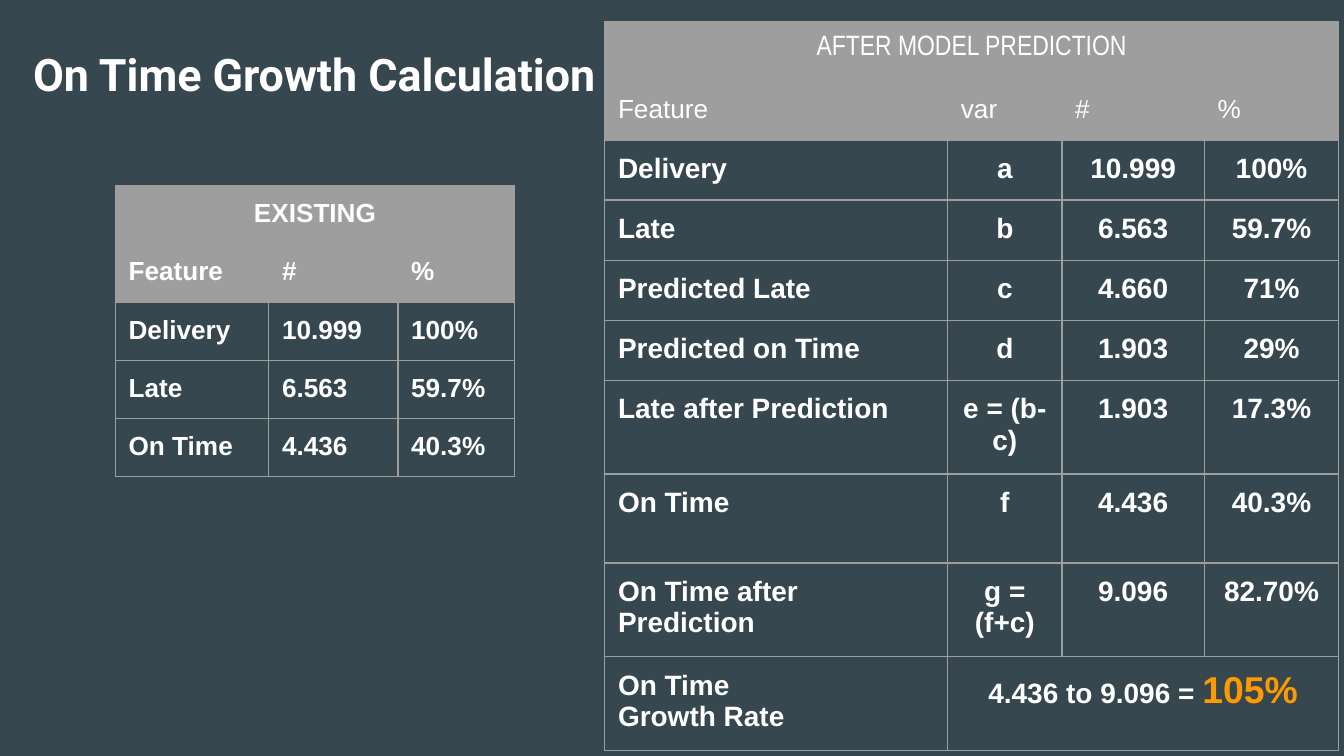
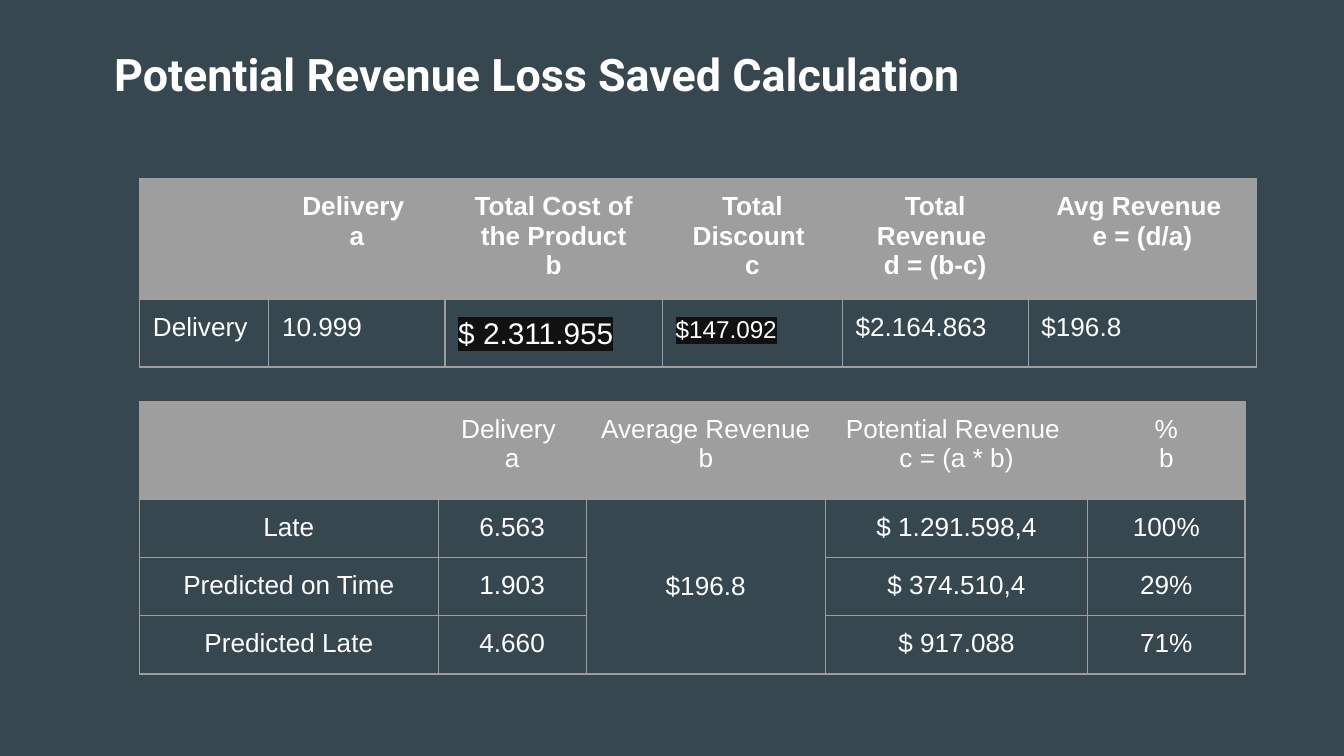
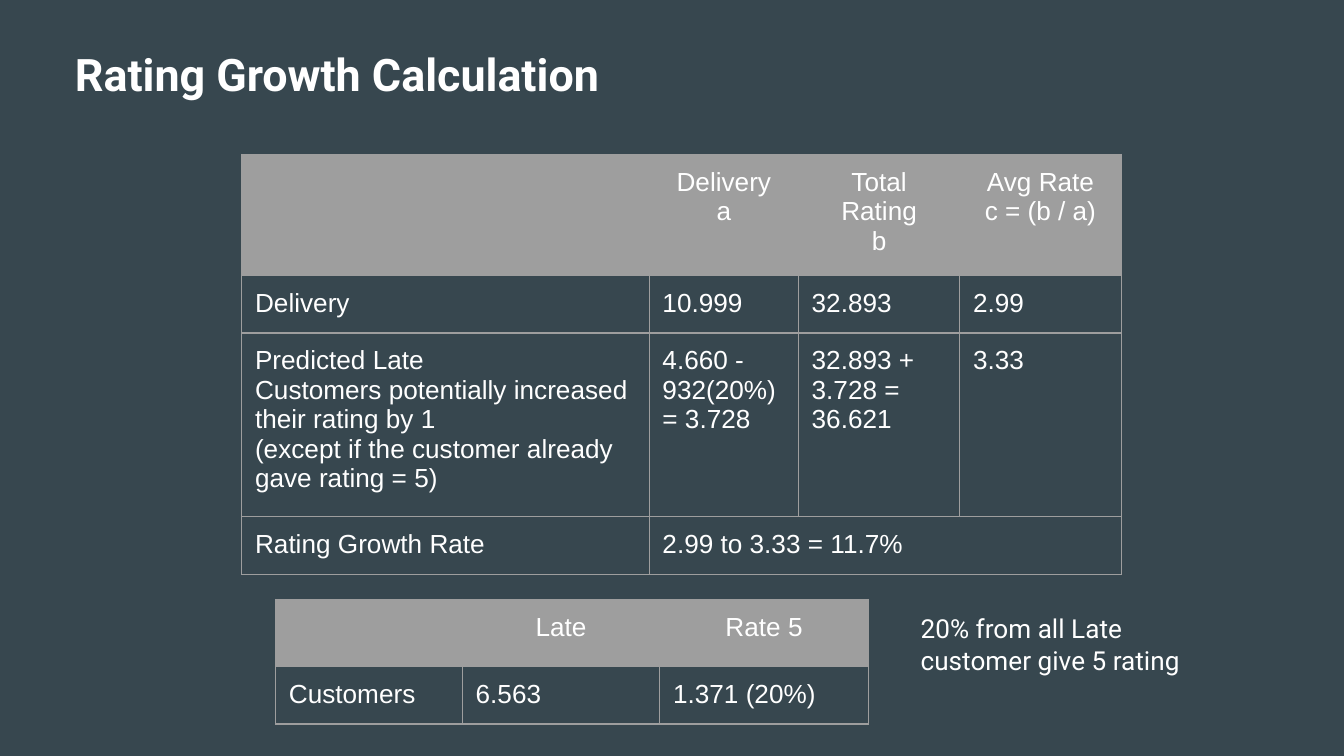
from lxml.etree import SubElement
from pptx import Presentation
from pptx.dml.color import RGBColor
from pptx.enum.text import MSO_ANCHOR, PP_ALIGN
from pptx.oxml import parse_xml
from pptx.oxml.ns import nsdecls, qn
from pptx.util import Cm, Pt

COLORS = {"bg": "37474F", "text": "FFFFFF", "grey": "9E9E9E",
          "accent": "FF9900", "mark": "111111"}
ALIGNS = {"l": PP_ALIGN.LEFT, "c": PP_ALIGN.CENTER}
INSET = Cm(0.25)
FRAME = Cm(8.33)


def rgb(name):
    return RGBColor.from_string(COLORS[name])


def add_run(p, text, size=14, font="Arial", bold=False, color="text", mark=None):
    r = p.add_run()
    r.text = text
    r.font.size = Pt(size)
    r.font.bold = bold
    r.font.color.rgb = rgb(color)
    if mark:
        hl = SubElement(r.font._element, qn("a:highlight"))
        SubElement(hl, qn("a:srgbClr"), val=COLORS[mark])
    r.font.name = font


def write(tf, text, align="l", spacing=None, **fmt):
    """Fill a text frame, one paragraph for each line of text."""
    tf.word_wrap = True
    for i, line in enumerate(text.split("\n")):
        p = tf.add_paragraph() if i else tf.paragraphs[0]
        p.alignment = ALIGNS[align]
        if spacing:
            p.line_spacing = spacing
        add_run(p, line, **fmt)


def set_insets(box):
    box.margin_left = box.margin_right = INSET
    box.margin_top = box.margin_bottom = INSET


def set_borders(cell):
    tc_pr = cell._tc.get_or_add_tcPr()
    for i, side in enumerate("LRTB"):
        tc_pr.insert(i, parse_xml(
            f'<a:ln{side} {nsdecls("a")} w="{Pt(0.75)}"><a:solidFill>'
            f'<a:srgbClr val="{COLORS["grey"]}"/></a:solidFill></a:ln{side}>'))


class Deck:
    def __init__(self):
        self.prs = Presentation()
        self.prs.slide_width, self.prs.slide_height = Cm(25.4), Cm(14.29)
        self.s = None

    def slide(self, title, left, width):
        self.s = self.prs.slides.add_slide(self.prs.slide_layouts[6])
        self.s.background.fill.solid()
        self.s.background.fill.fore_color.rgb = rgb("bg")
        self.text(title, left, 0.6, width, 1.6, anchor=MSO_ANCHOR.MIDDLE,
                  align="c", size=24, font="Roboto", bold=True)

    def text(self, text, left, top, width, height, anchor=MSO_ANCHOR.TOP, **fmt):
        tf = self.s.shapes.add_textbox(Cm(left), Cm(top), Cm(width), Cm(height)).text_frame
        set_insets(tf)
        tf.vertical_anchor = anchor
        write(tf, text, **fmt)

    def table(self, left, top, widths, heights, rows, heads=1, head_align="c",
              body_align="l", merges=(), head=None, body=None, special=None):
        """Draw rows of text; heights are minimums that grow with the text.

        Alignments hold one letter per column, or one for all.
        """
        frame = self.s.shapes.add_table(len(rows), len(widths), Cm(left), Cm(top),
                                        FRAME, FRAME)
        table = frame.table
        table.first_row = table.horz_banding = False
        for column, width in zip(table.columns, widths):
            column.width = Cm(width)
        for row, height in zip(table.rows, heights):
            row.height = Cm(height)
        frame.width = frame.height = FRAME
        for start, end in merges:
            table.cell(*start).merge(table.cell(*end))
        for i, texts in enumerate(rows):
            is_head = i < heads
            aligns = head_align if is_head else body_align
            for j, text in enumerate(texts):
                cell = table.cell(i, j)
                set_insets(cell)
                if is_head:
                    cell.fill.solid()
                    cell.fill.fore_color.rgb = rgb("grey")
                else:
                    cell.fill.background()
                set_borders(cell)
                if text:
                    fmt = {"align": aligns[j % len(aligns)],
                           **((head if is_head else body) or {}),
                           **(special or {}).get((i, j), {})}
                    write(cell.text_frame, text, **fmt)
        return table


def on_time_slide(deck):
    deck.slide("On Time Growth Calculation", 0.25, 11.38)
    bold = {"bold": True}
    deck.table(2.18, 3.51, [2.9, 2.44, 2.21], [1.1] * 5, [
        ["EXISTING", None, None],
        ["Feature", "#", "%"],
        ["Delivery", "10.999", "100%"],
        ["Late", "6.563", "59.7%"],
        ["On Time", "4.436", "40.3%"],
    ], heads=2, head_align="l", merges=[((0, 0), (0, 2))],
        head=bold, body=bold, special={(0, 0): {"align": "c"}})
    predicted = deck.table(
        11.43, 0.41, [6.48, 2.16, 2.69, 2.54],
        [1.1, 1.1, 1.04, 0.91, 0.86, 0.89, 1.32, 1.68, 1.3, 1.32], [
            ["AFTER MODEL PREDICTION", None, None, None],
            ["Feature", "var", "#", "%"],
            ["Delivery", "a", "10.999", "100%"],
            ["Late", "b", "6.563", "59.7%"],
            ["Predicted Late", "c", "4.660", "71%"],
            ["Predicted on Time", "d", "1.903", "29%"],
            ["Late after Prediction", "e = (b-c)", "1.903", "17.3%"],
            ["On Time", "f", "4.436", "40.3%"],
            ["On Time after Prediction", "g = (f+c)", "9.096", "82.70%"],
            ["On Time\nGrowth Rate", "4.436 to 9.096 = ", None, None],
        ], heads=2, head_align="l", body_align="lccc",
        merges=[((0, 0), (0, 3)), ((9, 1), (9, 3))], body={"size": 15, "bold": True},
        special={(0, 0): {"align": "c", "size": 15, "font": "Arial Narrow"}})
    add_run(predicted.cell(9, 1).text_frame.paragraphs[0], "105%",
            size=20, bold=True, color="accent")


def revenue_slide(deck):
    deck.slide("Potential Revenue Loss Saved Calculation", 0.86, 18.57)
    marked = {"mark": "mark", "spacing": 1.15}
    deck.table(2.64, 3.38, [2.44, 3.33, 4.11, 3.4, 3.51, 4.32], [1.06, 1.06], [
        [None, "Delivery \na", "Total Cost of the Product\nb", "Total Discount \nc",
         "Total Revenue \nd = (b-c)", "Avg Revenue \ne = (d/a)"],
        ["Delivery", "10.999", "$ 2.311.955", "$147.092", "$2.164.863", "$196.8"],
    ], head={"bold": True},
        special={(1, 2): {"size": 16, **marked}, (1, 3): {"size": 13, **marked}})
    saved = deck.table(2.64, 7.59, [5.64, 2.8, 4.52, 4.96, 2.97], [1.85] + [1.1] * 3, [
        [None, "Delivery \na", "Average Revenue \nb",
         "Potential Revenue \nc = (a * b)", "%\nb"],
        ["Late", "6.563", "$196.8", "$ 1.291.598,4", "100%"],
        ["Predicted on Time", "1.903", None, "$ 374.510,4", "29%"],
        ["Predicted Late", "4.660", None, "$ 917.088", "71%"],
    ], body_align="c", merges=[((1, 2), (3, 2))])
    saved.cell(1, 2).vertical_anchor = MSO_ANCHOR.MIDDLE


def rating_slide(deck):
    deck.slide("Rating Growth Calculation", 0.86, 11.02)
    deck.table(4.57, 2.92, [7.7, 2.82, 3.05, 3.05], [1.06] * 4, [
        [None, "Delivery\na", "Total Rating\nb", "Avg Rate\nc = (b / a)"],
        ["Delivery", "10.999", "32.893", "2.99"],
        ["Predicted Late\nCustomers potentially increased their rating by 1\n"
         "(except if the customer already gave rating = 5)",
         "4.660 - 932(20%) = 3.728", "32.893 + 3.728 = 36.621", "3.33"],
        ["Rating Growth Rate", "2.99 to 3.33 = 11.7%", None, None],
    ], merges=[((3, 1), (3, 3))])
    deck.table(5.21, 11.33, [3.53, 3.73, 3.94], [1.02, 1.06], [
        [None, "Late", "Rate 5"],
        ["Customers", "6.563", "1.371 (20%)"],
    ])
    deck.text("20% from all Late customer give 5 rating", 17.15, 11.33, 5.99, 1.7,
              font="Roboto")


def main():
    deck = Deck()
    on_time_slide(deck)
    revenue_slide(deck)
    rating_slide(deck)
    deck.prs.save("out.pptx")


if __name__ == "__main__":
    main()
